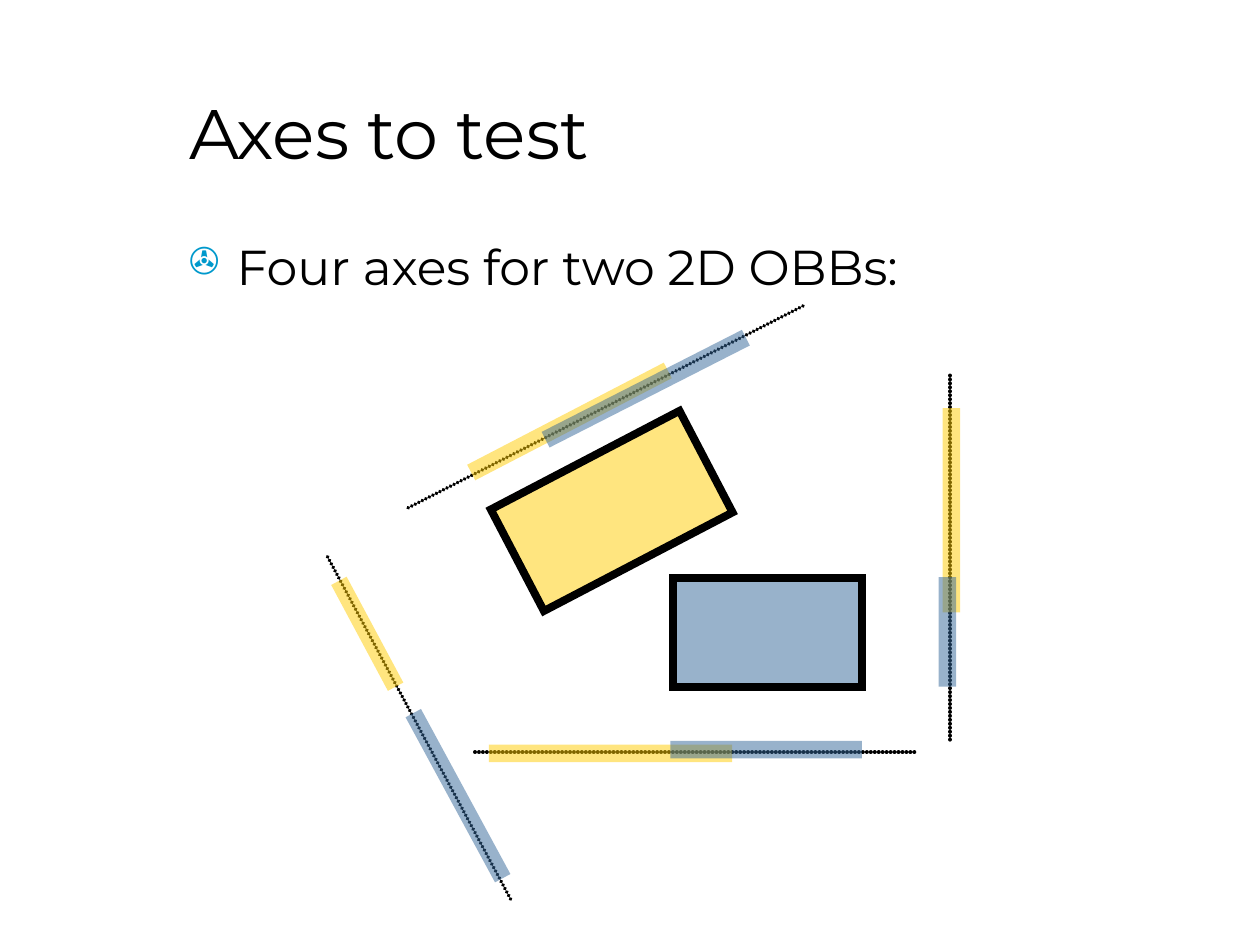
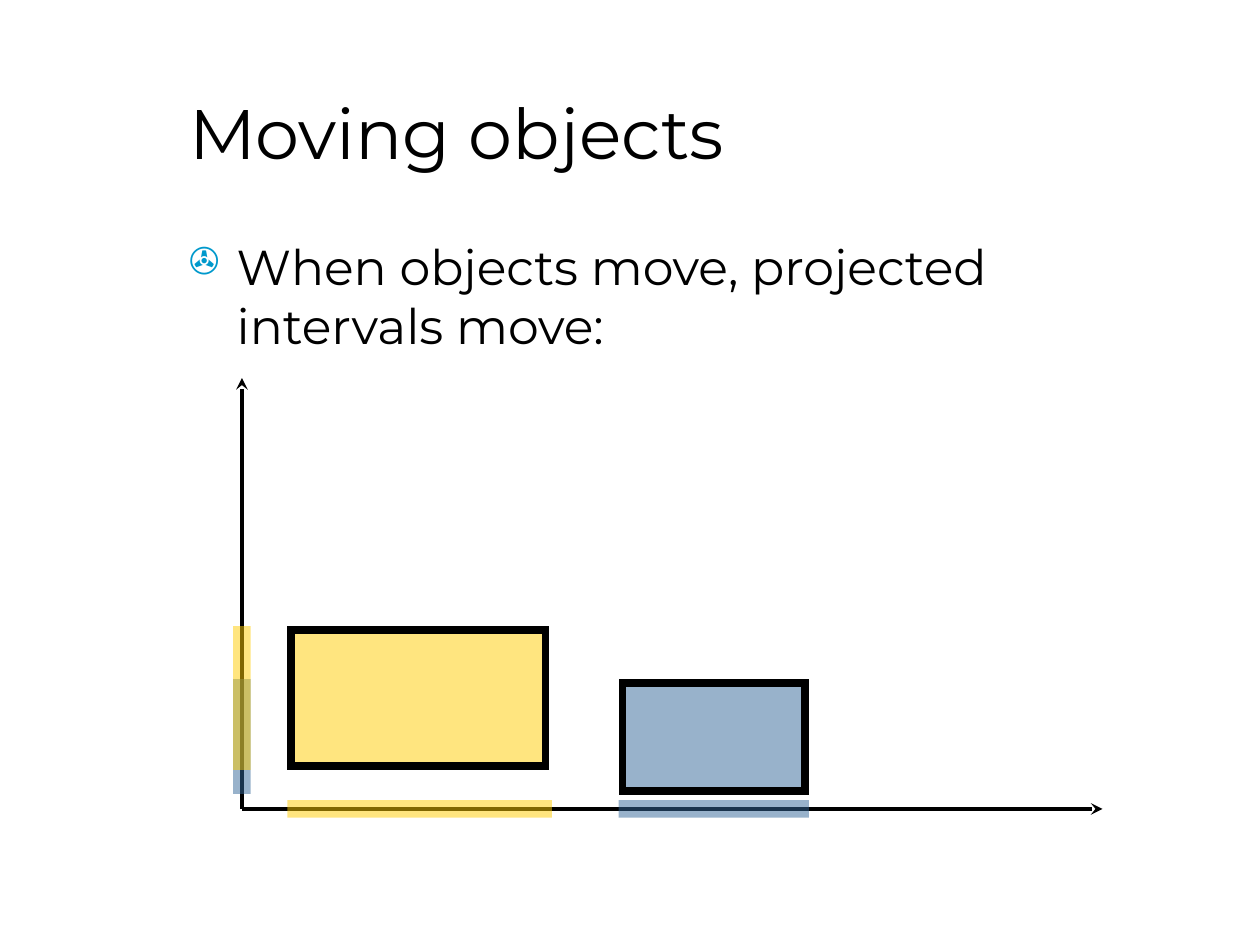
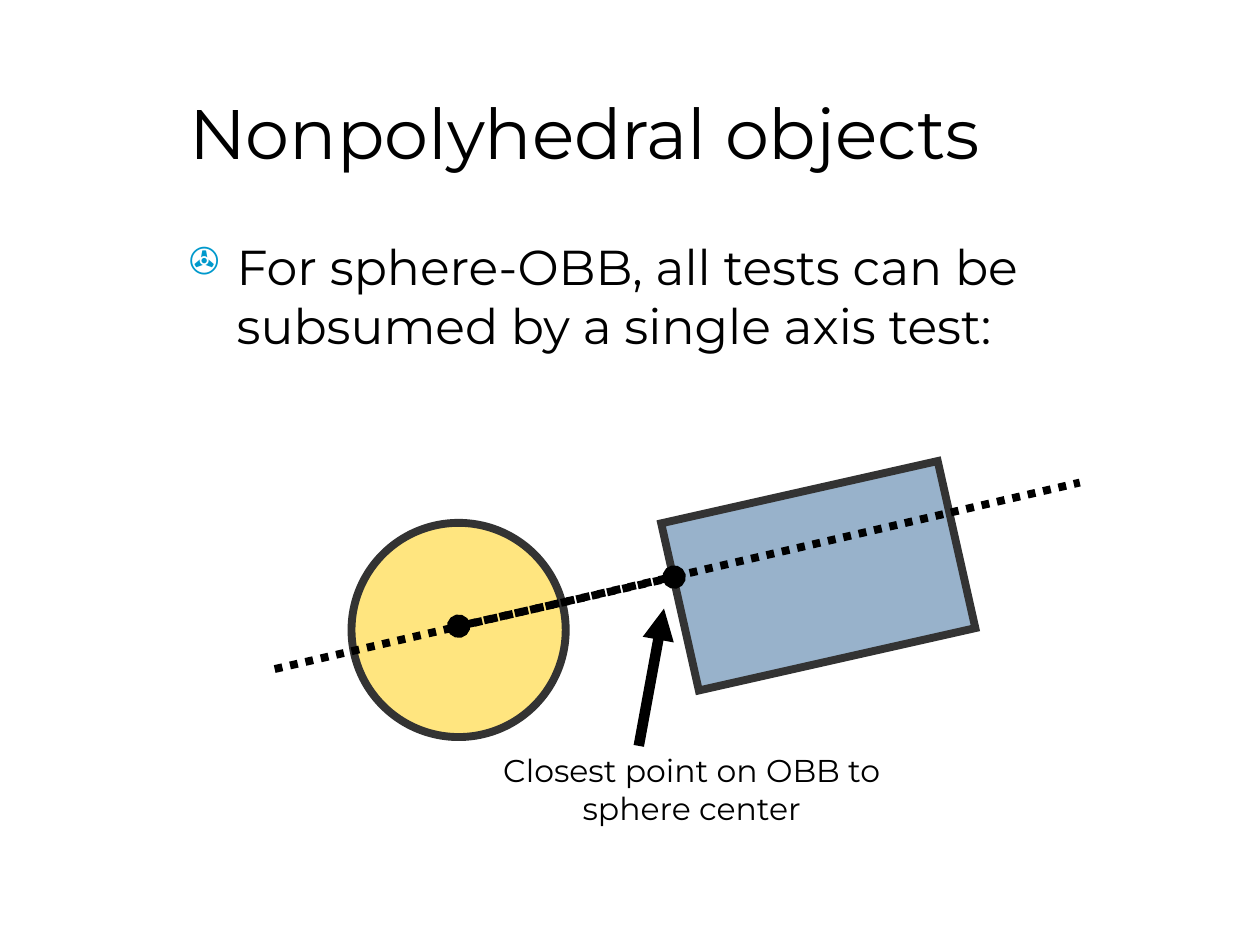
from lxml import etree
from pptx import Presentation
from pptx import util as u
from pptx.dml.color import RGBColor
from pptx.enum import dml, shapes, text
from pptx.oxml.ns import qn

COLS, ROWS = 100, 75
BLACK, GRAY, YELLOW, BLUE, CYAN = "000000", "333333", "FFCC00", "336699", "0099CC"


def rgb(value):
    return RGBColor.from_string(value)


def child(parent, tag, **attrs):
    return etree.SubElement(parent, qn(tag), attrs)


def make_translucent(fill):
    child(fill.find(qn("a:srgbClr")), "a:alpha", val="50000")


class Deck:
    font = "Montserrat"
    content_left, content_width = 14, 77.5

    def __init__(self):
        self.prs = Presentation()
        self.prs.slide_width, self.prs.slide_height = u.Inches(10), u.Inches(7.5)
        self.slide = None

    def x(self, cols):
        return round(self.prs.slide_width * cols / COLS)

    def y(self, rows):
        return round(self.prs.slide_height * rows / ROWS)

    def box(self, left, top, width, height):
        return self.x(left), self.y(top), self.x(width), self.y(height)

    def set_text(self, tf, content, size, align=text.PP_ALIGN.LEFT):
        tf.text = content
        tf.word_wrap = True
        p = tf.paragraphs[0]
        p.alignment = align
        p.font.size, p.font.name = u.Pt(size), self.font
        p.font.color.rgb = rgb(BLACK)
        return p

    def new_slide(self, title, point):
        self.slide = self.prs.slides.add_slide(self.prs.slide_layouts[5])
        sp = self.slide.shapes.title
        sp.left, sp.top, sp.width, sp.height = self.box(
            self.content_left, 4.2, self.content_width, 12.5)
        tf = sp.text_frame
        self.set_text(tf, title, 40)
        tf.auto_size = text.MSO_AUTO_SIZE.NONE
        tf.vertical_anchor = text.MSO_ANCHOR.MIDDLE
        tf.margin_top = tf.margin_bottom = 0
        self.bullet(point)

    def bullet(self, content):
        sp = self.slide.shapes.add_textbox(
            *self.box(self.content_left, 18.3, self.content_width, 48.3))
        p = self.set_text(sp.text_frame, content, 28)
        p.space_before = u.Pt(7)
        pPr = p._p.get_or_add_pPr()
        pPr.set("marL", str(self.x(3.8)))
        pPr.set("indent", str(-self.x(3.8)))
        marks = [etree.Element(qn(tag)) for tag in ("a:buClr", "a:buSzPct", "a:buChar")]
        child(marks[0], "a:srgbClr", val=CYAN)
        marks[1].set("val", "75000")
        marks[2].set("char", "✇")
        at = pPr.index(pPr.find(qn("a:defRPr")))
        pPr[at:at] = marks

    def caption(self, content, left, top, width, height):
        sp = self.slide.shapes.add_textbox(*self.box(left, top, width, height))
        self.set_text(sp.text_frame, content, 18, text.PP_ALIGN.CENTER)
        sp.text_frame.auto_size = text.MSO_AUTO_SIZE.SHAPE_TO_FIT_TEXT

    def body(self, color, left, top, width, height, angle=0, outline=BLACK,
             kind=shapes.MSO_SHAPE.RECTANGLE):
        sp = self.slide.shapes.add_shape(kind, *self.box(left, top, width, height))
        sp.shadow.inherit = False
        sp.rotation = angle
        sp.fill.solid()
        sp.fill.fore_color.rgb = rgb(color)
        sp.line.color.rgb = rgb(outline)
        sp.line.width = u.Pt(4.5)
        spPr = sp._element.spPr
        make_translucent(spPr.find(qn("a:solidFill")))
        child(spPr.find(qn("a:ln")), "a:miter", lim="800000")

    def line(self, start, end, color=BLACK, width=2.25, dash=None, head=None, tail=None):
        c = self.slide.shapes.add_connector(
            shapes.MSO_CONNECTOR.STRAIGHT,
            self.x(start[0]), self.y(start[1]), self.x(end[0]), self.y(end[1]))
        c.line.color.rgb = rgb(color)
        c.line.width = u.Pt(width)
        if dash:
            c.line.dash_style = dash
        spPr = c._element.spPr
        ln = spPr.find(qn("a:ln"))
        for tag, mark in (("a:headEnd", head), ("a:tailEnd", tail)):
            if mark:
                child(ln, tag, type=mark)
        child(spPr, "a:effectLst")
        return ln

    def beaded_axis(self, start, end):
        ln = self.line(start, end)
        ln.set("cap", "rnd")
        child(child(ln, "a:custDash"), "a:ds", d="1000", sp="100000")

    def interval(self, color, start, end):
        ln = self.line(start, end, color, 10)
        make_translucent(ln.find(qn("a:solidFill")))


def axes_to_test(d):
    d.new_slide("Axes to test", "Four axes for two 2D OBBs:")
    d.body(BLUE, 53.4, 45.9, 15, 8.6)
    d.body(YELLOW, 40.1, 36, 16.9, 9.1, -27.6)
    for start, end in (((37.7, 59.7), (72.7, 59.7)), ((75.4, 29.8), (75.4, 58.9)),
                       ((26, 44.2), (40.6, 71.5)), ((32.4, 40.3), (63.9, 24.2))):
        d.beaded_axis(start, end)
    for yellow, blue in (
            (((37.4, 37.5), (53, 29.4)), ((43.3, 34.9), (59.2, 26.8))),
            (((26.9, 46.1), (31.4, 54.5)), ((32.8, 56.6), (39.9, 69.7))),
            (((38.8, 59.8), (58.1, 59.8)), ((53.2, 59.5), (68.4, 59.5))),
            (((75.5, 48.6), (75.5, 32.4)), ((75.2, 54.5), (75.2, 45.8)))):
        d.interval(YELLOW, *yellow)
        d.interval(BLUE, *blue)


def moving_objects(d):
    d.new_slide("Moving objects", "When objects move, projected intervals move:")
    x0, y0 = 19.2, 64.2
    d.line((x0, y0), (87.5, y0), tail="stealth")
    d.interval(YELLOW, (22.8, y0), (43.8, y0))
    d.interval(BLUE, (49.1, y0), (64.2, y0))
    d.line((x0, y0), (x0, 30), tail="stealth")
    d.body(BLUE, 49.4, 54.2, 14.5, 8.6)
    d.body(YELLOW, 23.1, 50, 20.2, 10.8)
    d.interval(BLUE, (x0, 63), (x0, 53.9))
    d.interval(YELLOW, (x0, 61.1), (x0, 49.7))


def nonpolyhedral_objects(d):
    d.new_slide("Nonpolyhedral objects",
                "For sphere-OBB, all tests can be subsumed by a single axis test:")
    d.body(YELLOW, 27.9, 41.5, 17, 17, outline=GRAY, kind=shapes.MSO_SHAPE.OVAL)
    d.body(BLUE, 53.7, 38.9, 22.5, 13.6, -12.7, GRAY)
    dots = dml.MSO_LINE.ROUND_DOT
    d.line((21.8, 53.1), (85.7, 38.3), width=4.5, dash=dots)
    d.line((36.4, 49.7), (53.5, 45.8), width=4.5, dash=dots, head="oval", tail="oval")
    d.line((50.7, 59.2), (52.7, 48.3), width=6, tail="triangle")
    d.caption("Closest point on OBB to sphere center", 38.5, 59.1, 32.8, 7)


def main():
    d = Deck()
    for build in (axes_to_test, moving_objects, nonpolyhedral_objects):
        build(d)
    d.prs.save("out.pptx")


if __name__ == "__main__":
    main()
